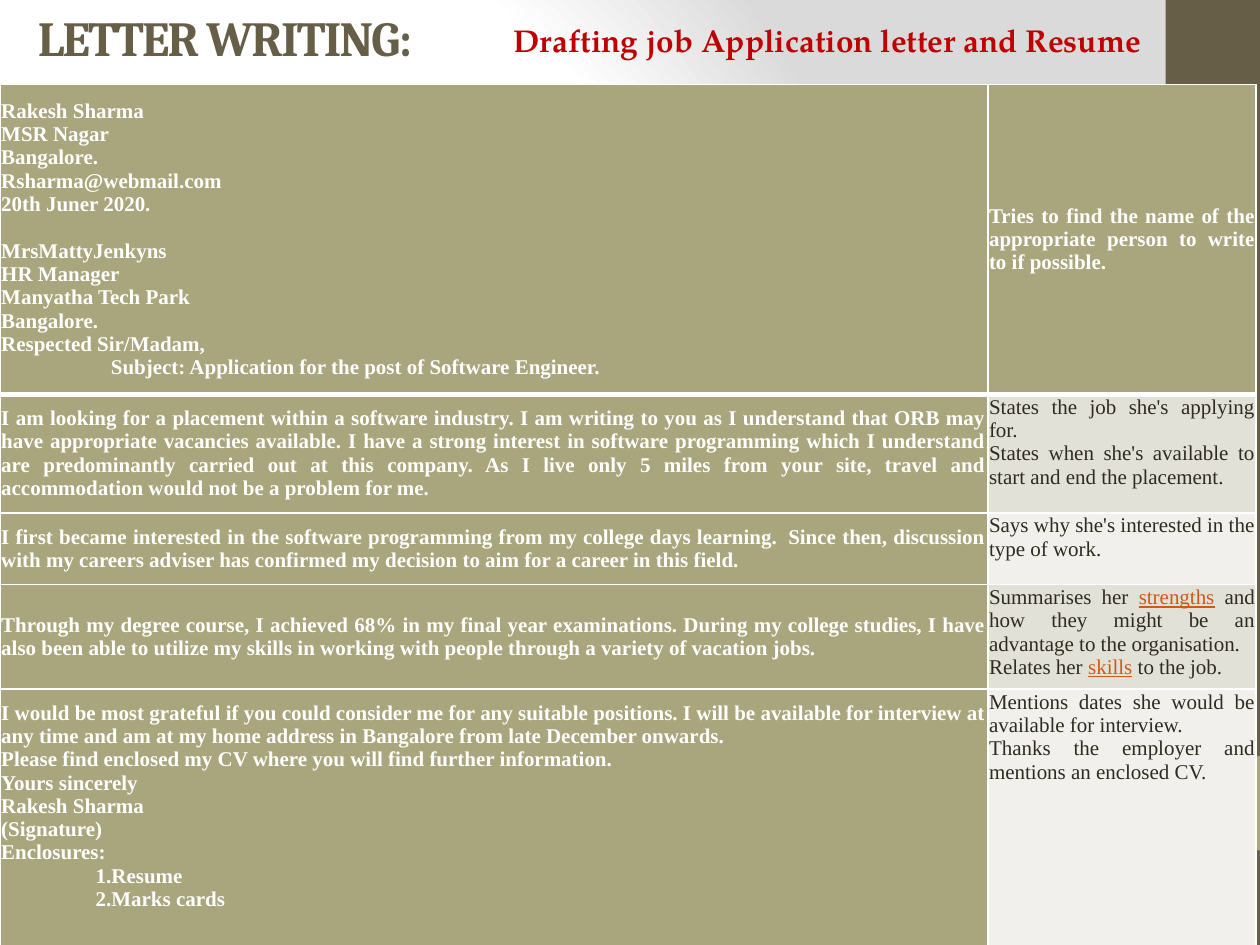
"""Build a slide with an annotated job application letter."""
import lxml.etree
import pptx
import pptx.dml.color
import pptx.enum.shapes
import pptx.enum.text
import pptx.oxml
import pptx.oxml.ns
import pptx.util

RGBColor = pptx.dml.color.RGBColor
Inches, Pt = pptx.util.Inches, pptx.util.Pt
ALIGN, ANCHOR = pptx.enum.text.PP_ALIGN, pptx.enum.text.MSO_ANCHOR

WHITE = RGBColor(0xFF, 0xFF, 0xFF)
BROWN = RGBColor(0x67, 0x5E, 0x47)
OLIVE = RGBColor(0xA9, 0xA5, 0x7C)
INK = RGBColor(0x2F, 0x2B, 0x20)
ORANGE = RGBColor(0xD2, 0x58, 0x14)
RED = RGBColor(0xC0, 0x00, 0x00)
BANDS = RGBColor(0xF1, 0xF0, 0xEC), RGBColor(0xE2, 0xE1, 0xD7)

TITLE = "LETTER WRITING:"
SUBTITLE = "Drafting job Application letter and Resume"
SUBJECT = "Subject: Application for the post of Software Engineer."
ADDRESSEE = "MrsMattyJenkyns\nHR Manager\nManyatha Tech Park"
ROWS = [
    (["Rakesh Sharma", "MSR Nagar", "Bangalore.",
      "Rsharma@webmail.com\n20th Juner 2020.", ADDRESSEE, "Bangalore.",
      "Respected Sir/Madam,", SUBJECT],
     ["Tries to find the name of the appropriate person to write to if possible."]),
    (["I am looking for a placement within a software industry. I am writing to you as I "
      "understand that ORB may have appropriate vacancies available. I have a strong interest "
      "in software programming which I understand are predominantly carried out at this "
      "company. As I live only 5 miles from your site, travel and accommodation would not be "
      "a problem for me."],
     ["States the job she's applying for.",
      "States when she's available to start and end the placement."]),
    (["I first became interested in the software programming from my college days learning.\u00a0 "
      "Since then, discussion with my careers adviser has confirmed my decision to aim for a "
      "career in this field."],
     ["Says why she's interested in the type of work."]),
    (["Through my degree course, I achieved 68% in my final year examinations. During my "
      "college studies, I have also been able to utilize my skills in working with people "
      "through a variety of vacation jobs."],
     ["Summarises her *strengths* and how they might be an advantage to the organisation.",
      "Relates her *skills* to the job."]),
    (["I would be most grateful if you could consider me for any suitable positions. I will be "
      "available for interview at any time and am at my home address in Bangalore from late "
      "December onwards.",
      "Please find enclosed my CV where you will find further information.",
      "Yours sincerely\nRakesh Sharma", "(Signature)", "Enclosures:",
      "1.Resume", "2.Marks cards"],
     ["Mentions dates she would be available for interview.",
      "Thanks the employer and mentions an enclosed CV."]),
]
INDENTS = {SUBJECT: 0.87, "1.Resume": 0.75, "2.Marks cards": 0.75}
COL_WIDTHS = 7.84, 2.13
ROW_HEIGHTS = 2.46, 0.94, 0.57, 0.83, 2.05
LINE_GAP = 13.3
SIDEBAR_X, SIDEBAR_W = 9.25, 0.75


def inches(*lengths):
    return [Inches(n) for n in lengths]


def set_font(font, name, size, color, bold):
    font.name, font.size, font.bold = name, Pt(size), bold
    font.color.rgb = color


def set_background(s):
    s.background.fill.gradient()
    grad = next(s.element.iter(pptx.oxml.ns.qn("a:gradFill")))
    for child in list(grad):
        grad.remove(child)
    stops = "".join(f'<a:gs pos="{pos}000"><a:srgbClr val="{color}"/></a:gs>'
                    for pos, color in ((0, "FFFFFF"), (75, "FFFFFF"), (100, "DADADA")))
    source = pptx.oxml.parse_xml(
        f'<a:gradFill {pptx.oxml.ns.nsdecls("a")}><a:gsLst>{stops}</a:gsLst><a:path path="circle">'
        '<a:fillToRect l="20000" t="50000" r="100000" b="50000"/></a:path></a:gradFill>')
    grad.extend(list(source))


def add_bar(s, top, height, color):
    sp = s.shapes.add_shape(pptx.enum.shapes.MSO_SHAPE.RECTANGLE,
                            *inches(SIDEBAR_X, top, SIDEBAR_W, height))
    sp.shadow.inherit = False
    sp.fill.solid()
    sp.fill.fore_color.rgb = color
    sp.line.fill.background()


def set_borders(cell, widths):
    tc_pr = cell._tc.get_or_add_tcPr()
    for i, (side, width) in enumerate(zip("LRTB", widths)):
        tc_pr.insert(i, pptx.oxml.parse_xml(
            f'<a:ln{side} {pptx.oxml.ns.nsdecls("a")} w="{Pt(width)}"><a:solidFill>'
            f'<a:srgbClr val="{WHITE}"/></a:solidFill></a:ln{side}>'))


def write_paragraph(p, text, color, bold):
    parts = text.split("*")
    p.text = parts[0]
    p.alignment = ALIGN.LEFT if "\n" in text else ALIGN.JUSTIFY
    if text in INDENTS:
        p._p.get_or_add_pPr().set("marL", str(Inches(INDENTS[text])))
    if text == ADDRESSEE:
        p.space_before = Pt(LINE_GAP)
    set_font(p.font, "Times New Roman", 12, color, bold)
    for i, part in enumerate(parts[1:], 1):
        r = p.add_run()
        r.text = part
        if i % 2:
            r.font.underline = True
            r.font.color.rgb = ORANGE


def fill_cell(cell, paragraphs, row, col):
    strong = row == 0 or col == 0
    cell.fill.solid()
    cell.fill.fore_color.rgb = OLIVE if strong else BANDS[row % 2]
    cell.vertical_anchor = ANCHOR.MIDDLE if strong else ANCHOR.TOP
    cell.margin_left = cell.margin_right = cell.margin_top = cell.margin_bottom = Inches(0.01)
    set_borders(cell, (1, 1, 3 if row == 1 else 1, 3 if row == 0 else 1))
    tf = cell.text_frame
    for i, text in enumerate(paragraphs):
        p = tf.add_paragraph() if i else tf.paragraphs[0]
        write_paragraph(p, text, WHITE if strong else INK, strong)


def add_letter(s):
    table = s.shapes.add_table(len(ROWS), len(COL_WIDTHS), *inches(
        0, 0.67, sum(COL_WIDTHS), sum(ROW_HEIGHTS))).table
    table.first_row = table.horz_banding = False
    for column, width in zip(table.columns, COL_WIDTHS):
        column.width = Inches(width)
    for row, (height, texts) in enumerate(zip(ROW_HEIGHTS, ROWS)):
        table.rows[row].height = Inches(height)
        for col, paragraphs in enumerate(texts):
            fill_cell(table.cell(row, col), paragraphs, row, col)
    table.cell(len(ROWS) - 1, 0).margin_bottom = Inches(0.2)


def add_headings(s):
    title = s.shapes.title
    title.left, title.top, title.width, title.height = inches(0.2, 0.06, 4.03, 0.46)
    box = s.shapes.add_textbox(*inches(3.98, 0.12, 5.67, 0.4))
    for sp, text, align, style in (
            (title, TITLE, ALIGN.LEFT, ("Cambria", 28, BROWN, True)),
            (box, SUBTITLE, ALIGN.JUSTIFY, ("TeX Gyre Pagella", 18, RED, True))):
        tf = sp.text_frame
        tf.text = text
        tf.word_wrap = True
        tf.auto_size = pptx.enum.text.MSO_AUTO_SIZE.NONE
        tf.vertical_anchor = ANCHOR.MIDDLE
        p = tf.paragraphs[0]
        p.alignment = align
        set_font(p.font, *style)
    title.text_frame.paragraphs[0].runs[0]._r.get_or_add_rPr().set("spc", "-100")


def main():
    prs = pptx.Presentation()
    prs.slide_width, prs.slide_height = inches(10, 7.5)
    s = prs.slides.add_slide(prs.slide_layouts[5])
    set_background(s)
    add_bar(s, 0, 7.5, BROWN)
    add_bar(s, 6, 0.75, OLIVE)
    add_letter(s)
    add_headings(s)
    prs.save("out.pptx")


if __name__ == "__main__":
    main()
